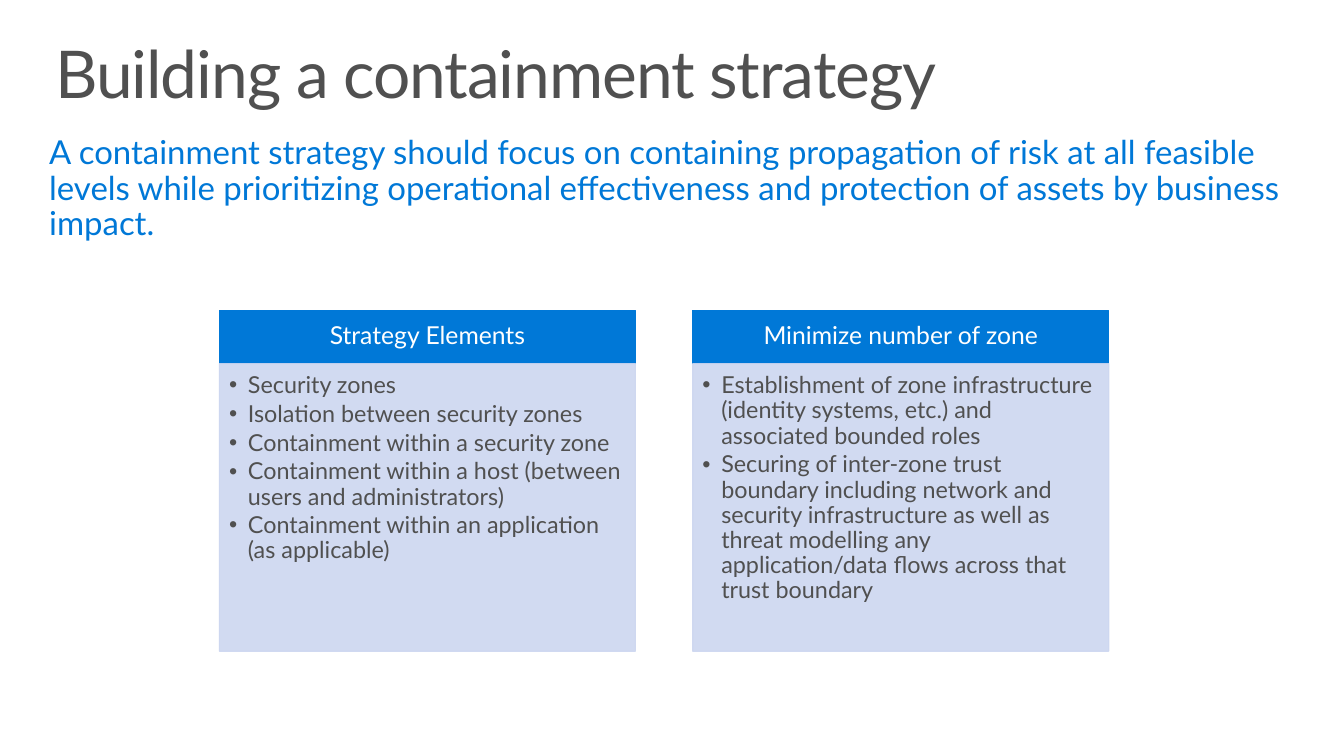
from pptx import Presentation, util as u
from pptx.dml.color import RGBColor
from pptx.enum import shapes, text
from pptx.oxml.ns import qn
from lxml import etree

WIDTH, HEIGHT = 13.6, 7.65
FONT = "Lato"
BLUE, PALE, GREY, WHITE = "0078D7", "CCD6F0", "505050", "FFFFFF"

TITLE = "Building a containment strategy"
SUMMARY = ("A containment strategy should focus on containing propagation of risk "
           "at all feasible levels while prioritizing operational effectiveness "
           "and protection of assets by business impact.")
CARDS = [
    ("Strategy Elements", [
        "Security zones",
        "Isolation between security zones",
        "Containment within a security zone",
        "Containment within a host (between users and administrators)",
        "Containment within an application (as applicable)",
    ]),
    ("Minimize number of zone", [
        "Establishment of zone infrastructure (identity systems, etc.) "
        "and associated bounded roles",
        "Securing of inter-zone trust boundary including network and security "
        "infrastructure as well as threat modelling any application/data flows "
        "across that trust boundary",
    ]),
]

# Card grid: equal columns, a header row and a body row
CARD_LEFT, CARD_TOP, CARD_WIDTH, CARD_GAP = 2.22, 3.14, 4.21, 0.58
HEADER_HEIGHT, BODY_HEIGHT = 0.54, 2.91


def color(value):
    return RGBColor.from_string(value)


def place(shape, box):
    shape.left, shape.top, shape.width, shape.height = map(u.Inches, box)


def add_bullet(para, indent):
    """Give a paragraph a round bullet with a hanging indent."""
    props = para._p.get_or_add_pPr()
    props.set("marL", str(u.Inches(indent)))
    props.set("indent", str(-u.Inches(indent)))
    etree.SubElement(props, qn("a:buFont")).set("typeface", "Arial")
    etree.SubElement(props, qn("a:buChar")).set("char", "•")


def write(shape, lines, size, ink, insets=(0.1, 0.05, 0.1, 0.05), middle=False,
          centered=False, after=0, bullet_indent=0, tracking=0):
    """Fill a shape with one formatted paragraph per line."""
    frame = shape.text_frame
    frame.word_wrap = True
    frame.auto_size = text.MSO_AUTO_SIZE.NONE
    frame.vertical_anchor = text.MSO_ANCHOR.MIDDLE if middle else text.MSO_ANCHOR.TOP
    (frame.margin_left, frame.margin_top,
     frame.margin_right, frame.margin_bottom) = map(u.Inches, insets)
    for index, line in enumerate(lines):
        para = frame.add_paragraph() if index else frame.paragraphs[0]
        para.alignment = text.PP_ALIGN.CENTER if centered else text.PP_ALIGN.LEFT
        para.line_spacing = 0.9
        para.space_before, para.space_after = u.Pt(0), u.Pt(after)
        if bullet_indent:
            add_bullet(para, bullet_indent)
        span = para.add_run()
        span.text = line
        span.font.name, span.font.size = FONT, u.Pt(size)
        span.font.color.rgb = color(ink)
        if tracking:
            span.font._element.set("spc", str(round(tracking * 100)))


def add_panel(page, box, tint, opacity=100):
    """Draw a flat rectangle with a matching outline."""
    panel = page.shapes.add_shape(shapes.MSO_SHAPE.RECTANGLE, *map(u.Inches, box))
    panel.shadow.inherit = False
    panel.fill.solid()
    panel.fill.fore_color.rgb = color(tint)
    panel.line.color.rgb = color(tint)
    panel.line.width = u.Pt(0.85)
    if opacity < 100:
        for tone in panel._element.spPr.iter(qn("a:srgbClr")):
            etree.SubElement(tone, qn("a:alpha")).set("val", str(opacity * 1000))
    return panel


def add_heading(page, box):
    title = page.shapes.title
    place(title, box)
    write(title, [TITLE], 48, GREY, insets=(0.16, 0.1, 0.16, 0.1), tracking=-0.8)


def add_summary(page, box):
    summary = page.shapes.add_textbox(*map(u.Inches, box))
    write(summary, [SUMMARY], 24, BLUE)


def add_card(page, box, heading, points):
    left, top, width, height = box
    # Header bar
    header = add_panel(page, (left, top, width, HEADER_HEIGHT), BLUE)
    write(header, [heading], 18, WHITE, insets=(0.14, 0.08, 0.14, 0.08),
          middle=True, centered=True)
    # Bulleted body
    body = add_panel(page, (left, top + HEADER_HEIGHT, width, height - HEADER_HEIGHT),
                     PALE, opacity=90)
    write(body, points, 17, GREY, insets=(0.1, 0.1, 0.13, 0.15),
          after=2.55, bullet_indent=0.19)


def main():
    deck = Presentation()
    deck.slide_width, deck.slide_height = u.Inches(WIDTH), u.Inches(HEIGHT)
    page = deck.slides.add_slide(deck.slide_layouts.get_by_name("Title Only"))
    margin = 0.4
    add_heading(page, (margin, 0.32, WIDTH - 2 * margin, 1))
    add_summary(page, (margin, 1.33, WIDTH - margin, 0.93))
    for column, (heading, points) in enumerate(CARDS):
        left = CARD_LEFT + column * (CARD_WIDTH + CARD_GAP)
        add_card(page, (left, CARD_TOP, CARD_WIDTH, HEADER_HEIGHT + BODY_HEIGHT),
                 heading, points)
    deck.save("out.pptx")


if __name__ == "__main__":
    main()
